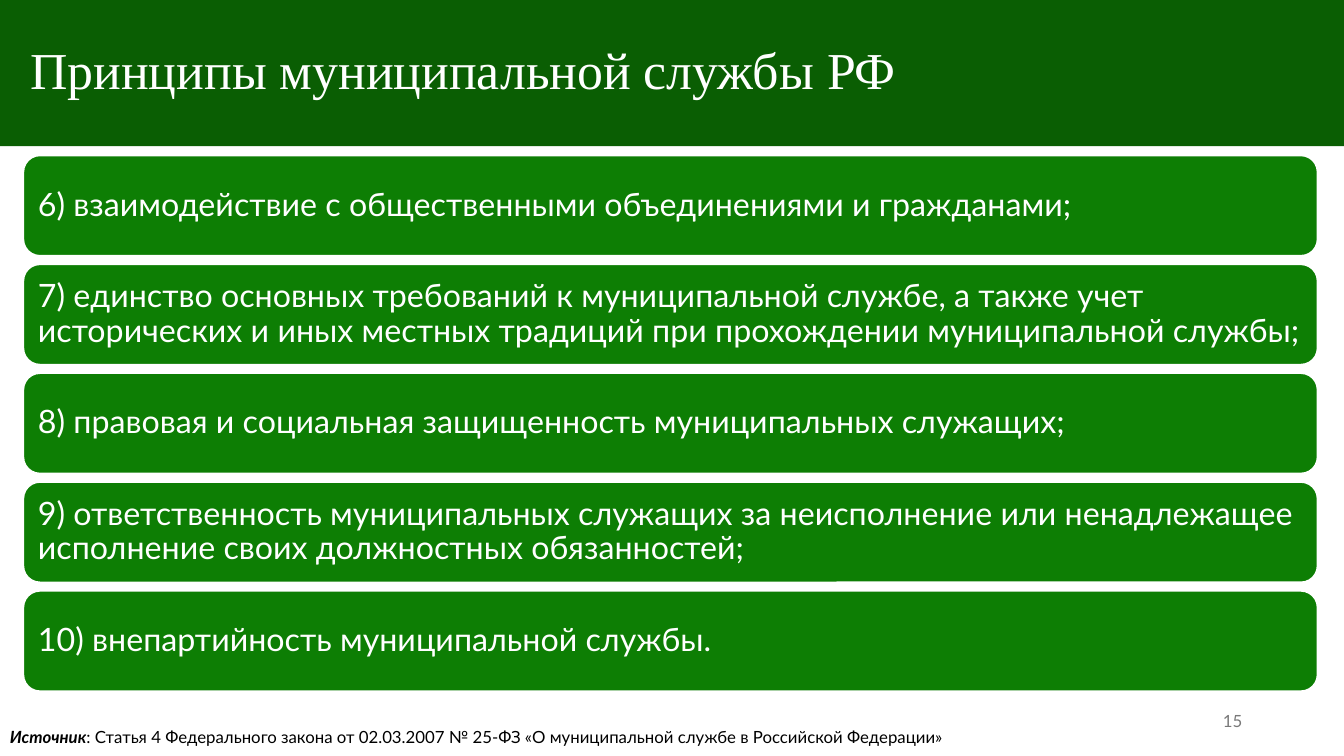
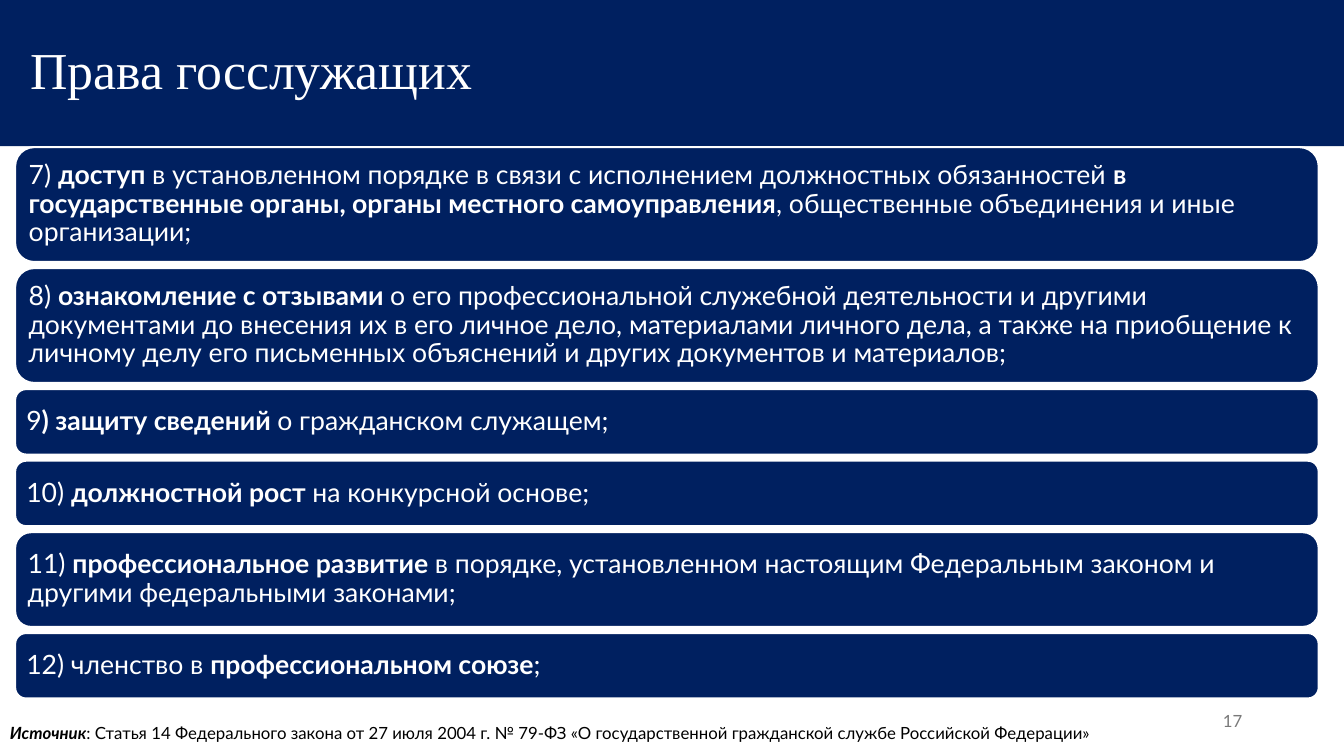
from pptx import Presentation
from pptx.dml.color import RGBColor
from pptx.enum.shapes import MSO_SHAPE
from pptx.enum.text import MSO_ANCHOR, MSO_AUTO_SIZE, PP_ALIGN
from pptx.util import Inches, Pt

ROUNDED = MSO_SHAPE.ROUNDED_RECTANGLE
MIDDLE, TOP = MSO_ANCHOR.MIDDLE, MSO_ANCHOR.TOP
LEFT, RIGHT = PP_ALIGN.LEFT, PP_ALIGN.RIGHT
NO_AUTOFIT = MSO_AUTO_SIZE.NONE

WHITE = RGBColor(0xFF, 0xFF, 0xFF)
BLACK = RGBColor(0, 0, 0)
GRAY = RGBColor(0x79, 0x79, 0x79)
DARK_GREEN = RGBColor(0x0A, 0x5E, 0x03)
GREEN = RGBColor(0x0D, 0x7E, 0x04)
NAVY = RGBColor(0, 0x20, 0x60)

TITLE_FONT, BODY_FONT = "Times New Roman", "Lato"
SLIDE_WIDTH, SLIDE_HEIGHT = 13.33, 7.5
TITLE_ONLY = 5

# Each item alternates plain and bold text, starting with plain
PRINCIPLES = [
    ["6) взаимодействие с общественными объединениями и гражданами;"],
    ["7) единство основных требований к муниципальной службе, а также учет "
     "исторических и иных местных традиций при прохождении муниципальной службы;"],
    ["8) правовая и социальная защищенность муниципальных служащих;"],
    ["9) ответственность муниципальных служащих за неисполнение или ненадлежащее "
     "исполнение своих должностных обязанностей;"],
    ["10) внепартийность муниципальной службы."],
]
RIGHTS = [
    ["7) ", "доступ",
     " в установленном порядке в связи с исполнением должностных обязанностей ",
     "в государственные органы, органы местного самоуправления",
     ", общественные объединения и иные организации;"],
    ["8) ", "ознакомление с отзывами ",
     "о его профессиональной служебной деятельности и другими документами до "
     "внесения их в его личное дело, материалами личного дела, а также на "
     "приобщение к личному делу его письменных объяснений и других документов "
     "и материалов;"],
    ["9", ") защиту сведений ", "о гражданском служащем;"],
    ["10) ", "должностной рост ", "на конкурсной основе;"],
    ["11) ", "профессиональное развитие ",
     "в порядке, установленном настоящим Федеральным законом и другими "
     "федеральными законами;"],
    ["12) членство в ", "профессиональном союзе", ";"],
]
RIGHTS_HEIGHTS = [1.14, 1.14, 0.65, 0.65, 0.94, 0.65]


def add_run(paragraph, text, size, color, font=BODY_FONT, bold=False, italic=False):
    run = paragraph.add_run()
    run.text = text
    run.font.name, run.font.size = font, Pt(size)
    run.font.bold, run.font.italic = bold, italic
    run.font.color.rgb = color


def add_text_box(slide, left, top, width, height, anchor, align):
    frame = slide.shapes.add_textbox(
        Inches(left), Inches(top), Inches(width), Inches(height)).text_frame
    frame.word_wrap = True
    frame.vertical_anchor = anchor
    frame.paragraphs[0].alignment = align
    return frame.paragraphs[0]


def add_base_slide(prs, title, band_color, number, source, source_top):
    """Title band, page number and source line."""
    slide = prs.slides.add_slide(prs.slide_layouts[TITLE_ONLY])
    band = slide.shapes.title
    band.left, band.top = Inches(0), Inches(0)
    band.width, band.height = Inches(SLIDE_WIDTH), Inches(1.45)
    band.fill.solid()
    band.fill.fore_color.rgb = band_color
    frame = band.text_frame
    frame.auto_size = NO_AUTOFIT
    frame.vertical_anchor = MIDDLE
    frame.margin_left = Inches(0.3)
    heading = frame.paragraphs[0]
    heading.alignment, heading.line_spacing = LEFT, 0.9
    add_run(heading, title, 37, WHITE, TITLE_FONT)

    page = add_text_box(slide, 9.42, 6.95, 3, 0.4, MIDDLE, RIGHT)
    add_run(page, number, 12, GRAY)

    footnote = add_text_box(slide, 0, source_top, SLIDE_WIDTH, 0.3, TOP, LEFT)
    add_run(footnote, "Источник", 12, BLACK, bold=True, italic=True)
    add_run(footnote, ": " + source, 12, BLACK)
    return slide


def add_card(slide, left, top, width, height, color, parts, size, inset):
    card = slide.shapes.add_shape(
        ROUNDED, Inches(left), Inches(top), Inches(width), Inches(height))
    card.shadow.inherit = False
    card.fill.solid()
    card.fill.fore_color.rgb = color
    card.line.color.rgb = WHITE
    card.line.width = Pt(1.5)
    frame = card.text_frame
    frame.word_wrap = True
    frame.vertical_anchor = MIDDLE
    frame.margin_left = frame.margin_right = Inches(inset)
    frame.margin_top = frame.margin_bottom = Inches(inset)
    statement = frame.paragraphs[0]
    statement.alignment, statement.line_spacing = LEFT, 0.9
    for index, text in enumerate(parts):
        add_run(statement, text, size, WHITE, bold=index % 2 == 1)


def add_card_stack(slide, left, top, width, heights, gap, color, items, size, inset):
    for height, parts in zip(heights, items):
        add_card(slide, left, top, width, height, color, parts, size, inset)
        top += height + gap


def main():
    prs = Presentation()
    prs.slide_width, prs.slide_height = Inches(SLIDE_WIDTH), Inches(SLIDE_HEIGHT)

    # Principles of municipal service
    principles = add_base_slide(
        prs, "Принципы муниципальной службы РФ", DARK_GREEN, "15",
        "Статья 4 Федерального закона от 02.03.2007 № 25-ФЗ "
        "«О муниципальной службе в Российской Федерации»", 7.16)
    add_card_stack(principles, 0.23, 1.54, 12.84, [1] * len(PRINCIPLES), 0.08,
                   GREEN, PRINCIPLES, 23, 0.1)

    # Rights of civil servants
    rights = add_base_slide(
        prs, "Права госслужащих", NAVY, "17",
        "Статья 14 Федерального закона от 27 июля 2004 г. № 79-ФЗ "
        "«О государственной гражданской службе Российской Федерации»", 7.12)
    add_card_stack(rights, 0.15, 1.46, 12.93, RIGHTS_HEIGHTS, 0.06,
                   NAVY, RIGHTS, 19, 0.08)

    prs.save("out.pptx")


if __name__ == "__main__":
    main()
